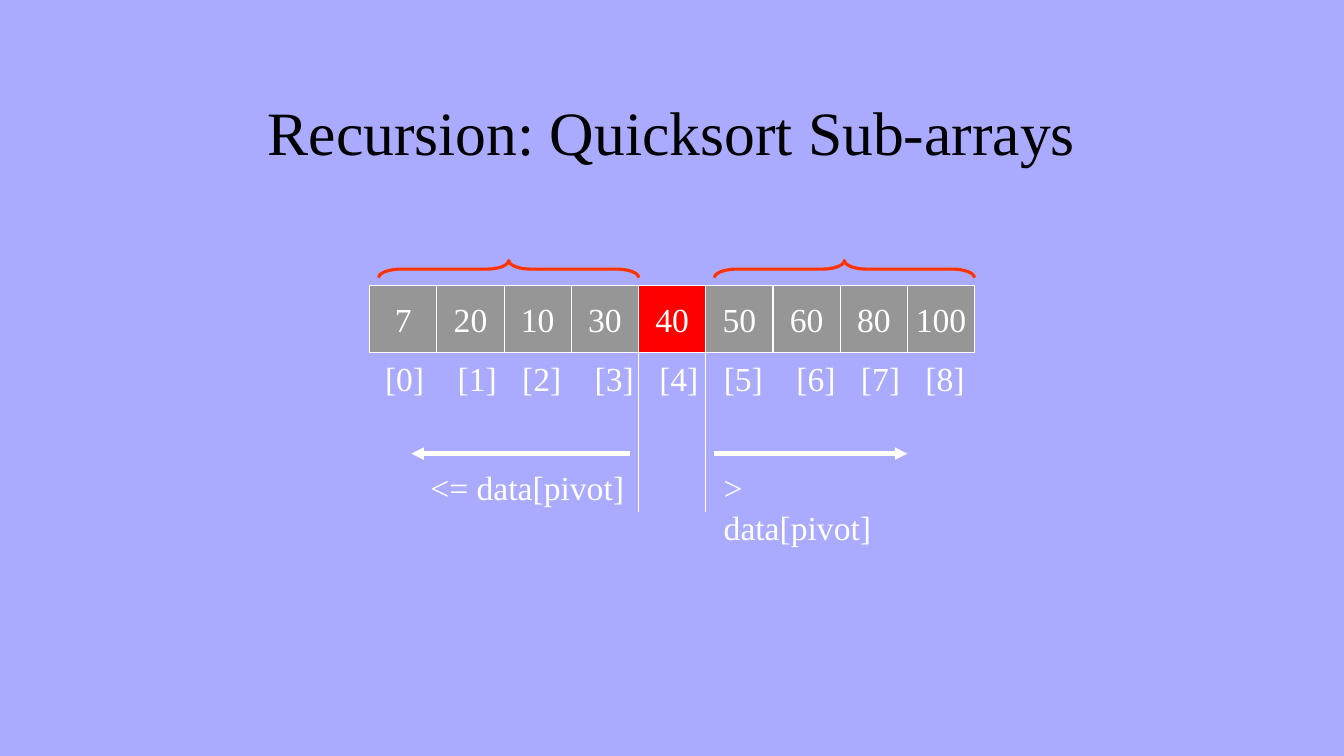
"""Build a slide that shows the two sub-arrays left by a quicksort partition."""
from dataclasses import dataclass
from itertools import accumulate

from lxml.etree import SubElement
from pptx import Presentation
from pptx.dml.color import RGBColor as RGB
from pptx.enum.shapes import MSO_CONNECTOR as Conn, MSO_SHAPE as Shape
from pptx.enum.text import MSO_ANCHOR as Anchor, PP_ALIGN as Align
from pptx.oxml.ns import qn
from pptx.util import Inches, Pt


@dataclass(frozen=True)
class Theme:
    back: RGB = RGB(0xAA, 0xAA, 0xFF)
    ink: RGB = RGB(0, 0, 0)
    light: RGB = RGB(0xFF, 0xFF, 0xFF)
    cell: RGB = RGB(0x96, 0x96, 0x96)
    pivot: RGB = RGB(0xFF, 0, 0)
    brace: RGB = RGB(0xFF, 0x33, 0)
    font: str = "Times New Roman"
    head: int = 44
    body: int = 24


theme = Theme()


def write(shape, text, size=theme.body, color=theme.light, align=Align.LEFT,
          anchor=Anchor.TOP, wrap=False, tabs=()):
    frame = shape.text_frame
    frame.word_wrap = wrap
    frame.vertical_anchor = anchor
    frame.text = text
    para = frame.paragraphs[0]
    para.alignment = align
    if tabs:
        stops = SubElement(para._p.get_or_add_pPr(), qn("a:tabLst"))
        for stop in tabs:
            SubElement(stops, qn("a:tab"), pos=str(Inches(stop)), algn="l")
    font = para.runs[0].font
    font.name, font.size = theme.font, Pt(size)
    font.color.rgb = color


def rule(x1, y1, x2, y2, width, arrow=False):
    line = slide.shapes.add_connector(
        Conn.STRAIGHT, Inches(x1), Inches(y1), Inches(x2), Inches(y2))
    line.line.color.rgb = theme.light
    line.line.width = Pt(width)
    if arrow:
        SubElement(line.line._get_or_add_ln(), qn("a:tailEnd"), type="triangle")
    SubElement(line._element.spPr, qn("a:effectLst"))


deck = Presentation()
deck.slide_width, deck.slide_height = Inches(13.33), Inches(7.5)
slide = deck.slides.add_slide(deck.slide_layouts[5])
slide.background.fill.solid()
slide.background.fill.fore_color.rgb = theme.back

title = slide.shapes.title
title.left, title.top = Inches(1), Inches(0.67)
title.width, title.height = Inches(11.33), Inches(1.25)
write(title, "Recursion: Quicksort Sub-arrays", size=theme.head, color=theme.ink,
      align=Align.CENTER, anchor=Anchor.MIDDLE, wrap=True)

data = [7, 20, 10, 30, 40, 50, 60, 80, 100]
pivot = 4
side = 2 / 3
left, top = 11 / 3, 2.83
for i, value in enumerate(data):
    cell = slide.shapes.add_shape(Shape.RECTANGLE, Inches(left + i * side),
                                  Inches(top), Inches(side), Inches(side))
    cell.shadow.inherit = False
    cell.fill.solid()
    cell.fill.fore_color.rgb = theme.pivot if i == pivot else theme.cell
    cell.line.color.rgb = theme.light
    cell.line.width = Pt(0.75)
    write(cell, str(value), align=Align.CENTER, anchor=Anchor.MIDDLE)

gaps = [0.72, 0.64, 0.72, 0.64, 0.64, 0.72, 0.64, 0.64]
index = slide.shapes.add_textbox(Inches(3.72), Inches(3.5), Inches(5.95), Inches(0.5))
write(index, "\t".join(f"[{i}]" for i in range(len(data))), wrap=True,
      tabs=list(accumulate(gaps)))

for edge in (pivot, pivot + 1):
    x = left + edge * side
    rule(x, top, x, 5.08, 0.75)

halves = [
    ("<= data[pivot]", 4.17, 2.12, 6.25, 4.08, 4.96),
    ("> data[pivot]", 7.08, 1.93, 7.08, 9, 8.29),
]
for text, x, width, start, end, mid in halves:
    rule(start, 4.5, end, 4.5, 3, arrow=True)
    label = slide.shapes.add_textbox(Inches(x), Inches(4.58), Inches(width), Inches(0.5))
    write(label, text)
    brace = slide.shapes.add_shape(Shape.LEFT_BRACE, Inches(mid), Inches(1.38),
                                   Inches(0.17), Inches(2.58))
    brace.rotation = 90
    brace.adjustments[0] = 1.29
    brace.shadow.inherit = False
    brace.fill.background()
    brace.line.color.rgb = theme.brace
    brace.line.width = Pt(2.25)

deck.save("out.pptx")
